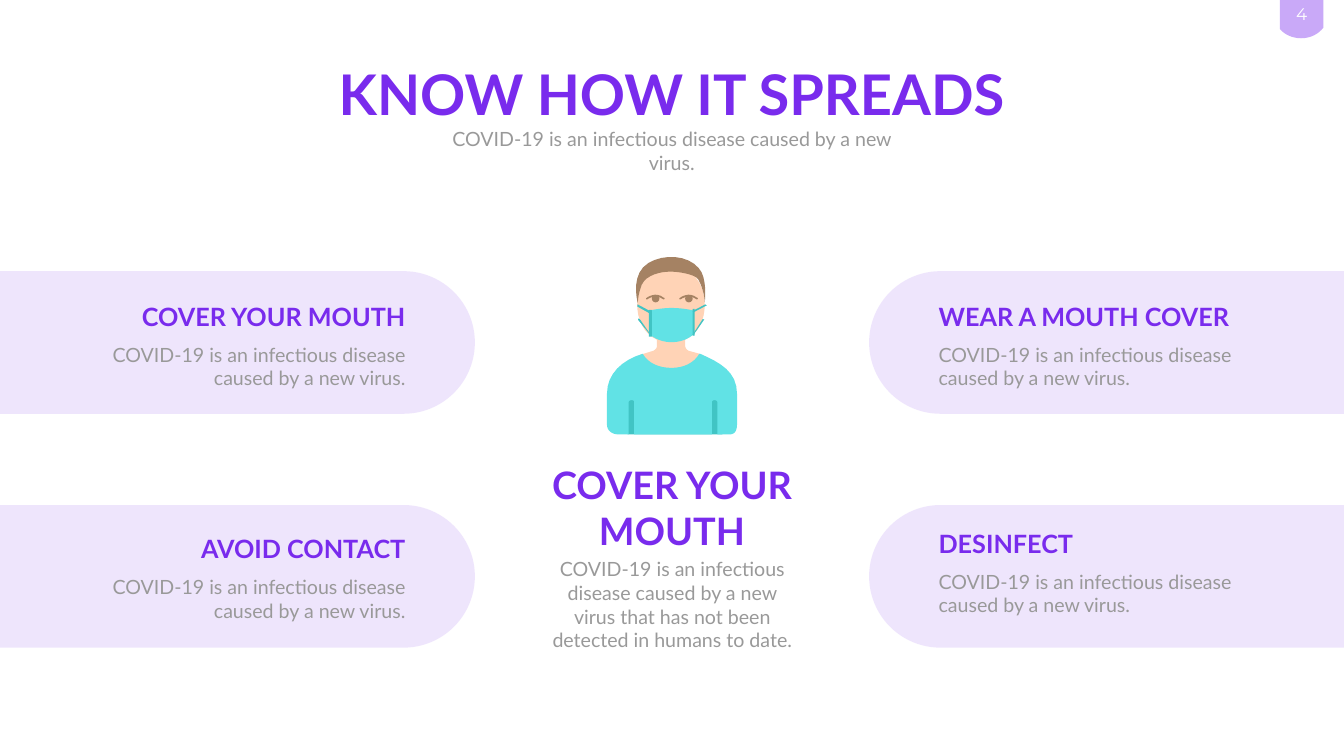
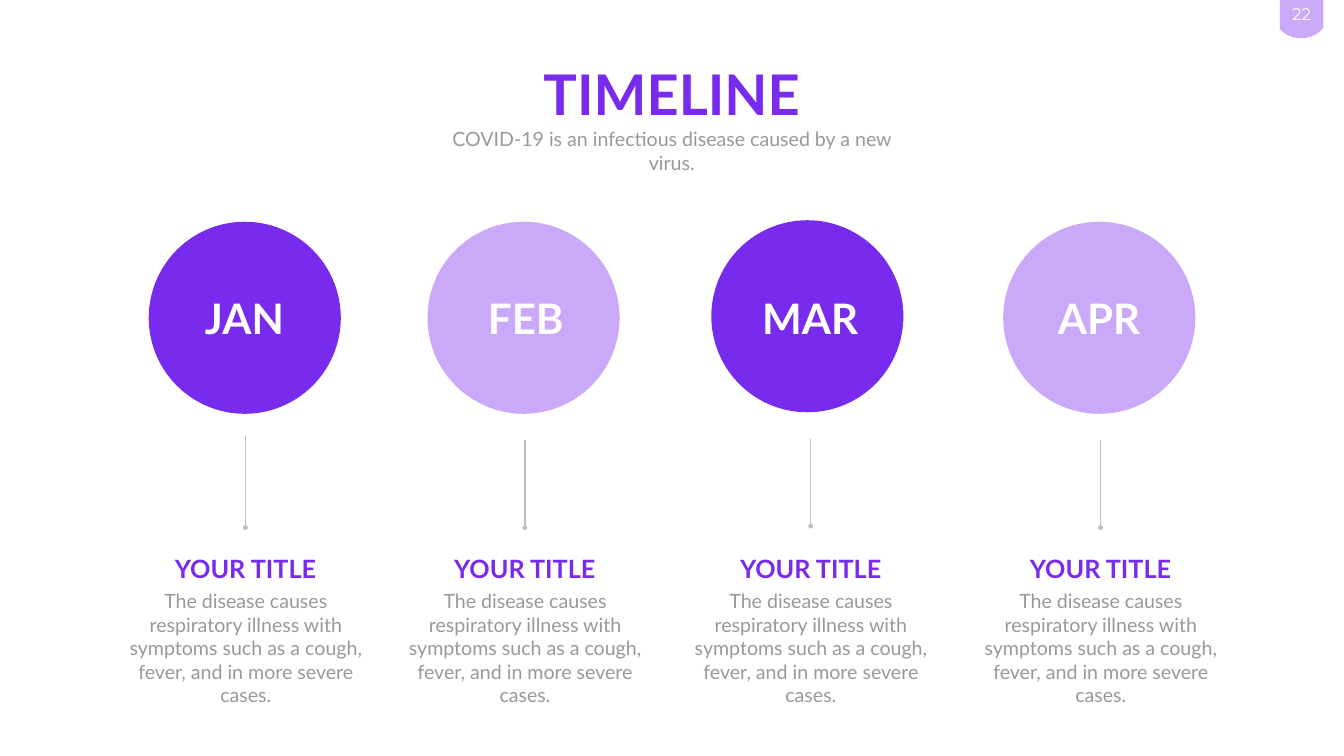
from lxml import etree
from pptx import Presentation
from pptx.dml.color import RGBColor
from pptx.enum.shapes import MSO_CONNECTOR, MSO_SHAPE
from pptx.enum.text import MSO_ANCHOR, MSO_AUTO_SIZE, PP_ALIGN
from pptx.oxml.ns import qn
from pptx.util import Pt

PX = 9144
WIDTH, HEIGHT = 2666, 1500
CURVE_STEPS = 8
FINE = 10

PURPLE, LILAC, GRAY, WHITE = "792BED", "C9A9F8", "999999", "FFFFFF"
RULE = "BFBFBF"
SKIN, HAIR, SHIRT, TRIM = "FFD3B6", "A58263", "61E2E5", "41C4C4"
FONT = "Lato"
LEFT, CENTER, RIGHT = PP_ALIGN.LEFT, PP_ALIGN.CENTER, PP_ALIGN.RIGHT

SUMMARY = "COVID-19 is an infectious disease caused by a new virus."
DETAIL = ("COVID-19 is an infectious disease caused by a new virus "
          "that has not been detected in humans to date.")
SYMPTOMS = ("The disease causes respiratory illness with symptoms such as "
            "a cough, fever, and in more severe cases.")

PAGE_TAB = [(0, 0), (86, 0), (86, 2), (86, 10, 86, 25, 86, 55),
            (76, 68, 60, 76, 42, 76), (25, 76, 10, 69, 0, 58)]
SLEEVES = [(41, 282), (234, 282), (229, 359), (41, 359)]
HEAD = [(155, 182), (155, 171), (182, 159, 194, 131, 194, 101),
        (194, 59, 168, 25, 127, 25), (86, 25, 60, 59, 60, 101),
        (60, 131, 73, 159, 99, 171), (99, 184), (99, 188, 96, 191, 92, 193),
        (66, 201), (91, 240), (99, 242), (99, 251),
        (99, 267, 111, 280, 127, 280), (143, 280, 155, 267, 155, 251),
        (155, 240), (161, 240), (184, 236, 188, 212, 188, 212),
        (184, 199), (162, 193), (158, 191, 155, 187, 155, 182)]
TORSO = [(258, 284), (258, 279), (258, 234, 225, 217, 185, 199), (183, 199),
         (173, 217, 152, 227, 128, 227), (103, 227, 81, 217, 71, 199),
         (30, 211, 0, 239, 0, 278), (0, 340), (0, 351, 10, 359, 23, 359),
         (43, 359), (43, 295), (43, 292, 46, 291, 49, 291),
         (52, 291, 54, 292, 54, 295), (54, 359), (208, 359), (208, 295),
         (208, 292, 211, 291, 213, 291), (216, 291, 219, 292, 219, 295),
         (219, 359), (243, 359), (256, 359, 258, 348, 258, 337)]
HAIRCUT = [(194, 97), (194, 97, 194, 75, 181, 51),
           (174, 41, 143, 36, 125, 36), (107, 36, 78, 42, 69, 62),
           (61, 83, 62, 93, 61, 98), (58, 86, 49, 39, 82, 19),
           (113, 0, 160, 3, 182, 29), (200, 48, 194, 97, 194, 97)]
MASK = [(171, 161), (171, 161, 156, 176, 128, 176),
        (102, 176, 85, 161, 85, 161), (85, 113),
        (85, 113, 107, 108, 128, 108), (151, 108, 171, 113, 171, 113)]
BROW = [(2, 17), (0, 17, 0, 14, 2, 14), (2, 14, 19, 0, 36, 14),
        (38, 14, 38, 15, 36, 17), (35, 17), (19, 5, 3, 17, 3, 17)]
STRAPS = [[(87, 163), (62, 132), (62, 129), (65, 130), (86, 160)],
          [(85, 119), (60, 105), (61, 101), (87, 115), (87, 118)],
          [(171, 163), (170, 161), (190, 130), (193, 131), (172, 161)],
          [(171, 117), (170, 114), (195, 101), (198, 103)]]


def px(*values):
    return [round(value * PX) for value in values]


def color(value):
    return RGBColor.from_string(value)


def paint(shape, fill, opacity=None):
    shape.shadow.inherit = False
    shape.fill.solid()
    shape.fill.fore_color.rgb = color(fill)
    shape.line.fill.background()
    if opacity is not None:
        solid = shape.fill._xPr.find(qn("a:solidFill"))
        etree.SubElement(solid[0], qn("a:alpha"), val=str(opacity * 1000))
    return shape


def add_shape(slide, kind, box, fill, opacity=None):
    return paint(slide.shapes.add_shape(kind, *px(*box)), fill, opacity)


def add_outline(slide, origin, outline, fill):
    points = [outline[0]]
    for step in outline[1:]:
        if len(step) == 2:
            points.append(step)
            continue
        x0, y0 = points[-1]
        x1, y1, x2, y2, x3, y3 = step
        for index in range(1, CURVE_STEPS + 1):
            t = index / CURVE_STEPS
            a, b, c, d = (1 - t) ** 3, 3 * t * (1 - t) ** 2, 3 * t * t * (1 - t), t ** 3
            points.append((a * x0 + b * x1 + c * x2 + d * x3,
                           a * y0 + b * y1 + c * y2 + d * y3))
    points = [(x * FINE, y * FINE) for x, y in points]
    builder = slide.shapes.build_freeform(*points[0], scale=PX / FINE)
    builder.add_line_segments(points[1:], close=True)
    return paint(builder.convert_to_shape(*px(*origin)), fill)


def write(shape, text, size=28, fill=GRAY, font=FONT, bold=False, align=CENTER, wrap=True):
    frame = shape.text_frame
    frame.word_wrap = wrap
    frame.auto_size = MSO_AUTO_SIZE.NONE
    frame.vertical_anchor = MSO_ANCHOR.TOP
    frame.text = text
    paragraph = frame.paragraphs[0]
    paragraph.alignment = align
    paragraph.space_before = Pt(0)
    paragraph.font.size = Pt(size)
    paragraph.font.name = font
    paragraph.font.bold = bold
    paragraph.font.color.rgb = color(fill)


def add_text(slide, box, text, **style):
    shape = slide.shapes.add_textbox(*px(*box))
    write(shape, text, **style)


def fill_placeholder(shape, box, text, **style):
    shape.left, shape.top, shape.width, shape.height = px(*box)
    write(shape, text, **style)


def add_page_tab(slide, left, top, number):
    add_outline(slide, (left, top), PAGE_TAB, LILAC)
    add_text(slide, (left, top + 3, 86, 61), number,
             size=24, fill=WHITE, font="Montserrat", wrap=False)


def start_slide(presentation, title, title_width, number):
    slide = presentation.slides.add_slide(presentation.slide_layouts[0])
    fill_placeholder(slide.shapes.title, ((WIDTH - title_width) // 2, 114, title_width, 145),
                     title, size=80, fill=PURPLE, bold=True)
    fill_placeholder(slide.placeholders[1], (855, 247, 955, 57), SUMMARY)
    add_page_tab(slide, 2539, 0, number)
    return slide


def add_person(slide, left, top):
    for outline, fill in ((SLEEVES, TRIM), (HEAD, SKIN), (TORSO, SHIRT),
                          (HAIRCUT, HAIR), (MASK, SHIRT)):
        add_outline(slide, (left, top), outline, fill)
    for x, y, width in ((83, 112, 6), (170, 110, 4)):
        add_shape(slide, MSO_SHAPE.ROUNDED_RECTANGLE, (left + x, top + y, width, 53), TRIM)
    for eye in (77, 143):
        add_outline(slide, (left + eye, top + 74), BROW, HAIR)
        add_shape(slide, MSO_SHAPE.OVAL, (left + eye + 12, top + 82, 15, 15), HAIR)
    for strap in STRAPS:
        add_outline(slide, (left, top), strap, TRIM)


def add_card(slide, box, title, title_top, align):
    left, top, width, height = box
    upright = (left + (width - height) / 2, top + (height - width) / 2, height, width)
    card = add_shape(slide, MSO_SHAPE.ROUNDED_RECTANGLE, upright, LILAC, opacity=30)
    card.adjustments[0] = 0.5
    card.rotation = 270
    title_width, body_width, inset = 707 if align == LEFT else 580, 610, 128
    if align == LEFT:
        title_left = body_left = left + inset
    else:
        edge = left + width - inset
        title_left, body_left = edge - title_width, edge - body_width
    add_text(slide, (title_left, top + title_top, title_width, 71), title,
             size=36, fill=PURPLE, bold=True, align=align)
    add_text(slide, (body_left, top + title_top + 82, body_width, 104), SUMMARY, align=align)


def add_month(slide, center, month, month_center, circle, rule, fill):
    circle_left, circle_top = circle
    rule_top, rule_bottom = rule
    line = slide.shapes.add_connector(MSO_CONNECTOR.STRAIGHT,
                                      *px(center, rule_top, center, rule_bottom))
    line.line.color.rgb = color(RULE)
    line.line.width = Pt(2.25)
    etree.SubElement(line.line._get_or_add_ln(), qn("a:tailEnd"), type="oval")
    etree.SubElement(line._element.spPr, qn("a:effectLst"))
    add_shape(slide, MSO_SHAPE.OVAL, (circle_left, circle_top, 381, 381), fill)
    add_text(slide, (month_center - 150, 575, 300, 111), month,
             size=60, fill=WHITE, bold=True)
    add_text(slide, (center - 254, 1093, 508, 71), "YOUR TITLE",
             size=36, fill=PURPLE, bold=True)
    add_text(slide, (center - 267, 1164, 535, 199), SYMPTOMS)


def build_spread_slide(presentation):
    slide = start_slide(presentation, "KNOW HOW IT SPREADS", 1407, "4")
    add_person(slide, 1204, 503)
    add_text(slide, (1026, 912, 614, 192), "COVER YOUR MOUTH",
             size=54, fill=PURPLE, bold=True)
    add_text(slide, (1078, 1101, 511, 151), DETAIL)
    for left, top, title, title_top, align in (
            (-378, 538, "COVER YOUR MOUTH", 55, RIGHT),
            (-378, 1002, "AVOID CONTACT", 52, RIGHT),
            (1724, 538, "WEAR A MOUTH COVER", 55, LEFT),
            (1724, 1002, "DESINFECT", 41, LEFT)):
        add_card(slide, (left, top, 1320, 283), title, title_top, align)


def build_timeline_slide(presentation):
    slide = start_slide(presentation, "TIMELINE", 1975, "22")
    for column in (
            (487, "JAN", 485, (295, 440), (866, 1047), PURPLE),
            (1041, "FEB", 1043, (848, 440), (874, 1047), LILAC),
            (1608, "MAR", 1607, (1411, 437), (871, 1044), PURPLE),
            (2183, "APR", 2180, (1990, 440), (874, 1047), LILAC)):
        add_month(slide, *column)


def main():
    presentation = Presentation()
    presentation.slide_width, presentation.slide_height = px(WIDTH, HEIGHT)
    build_spread_slide(presentation)
    build_timeline_slide(presentation)
    presentation.save("out.pptx")


if __name__ == "__main__":
    main()
